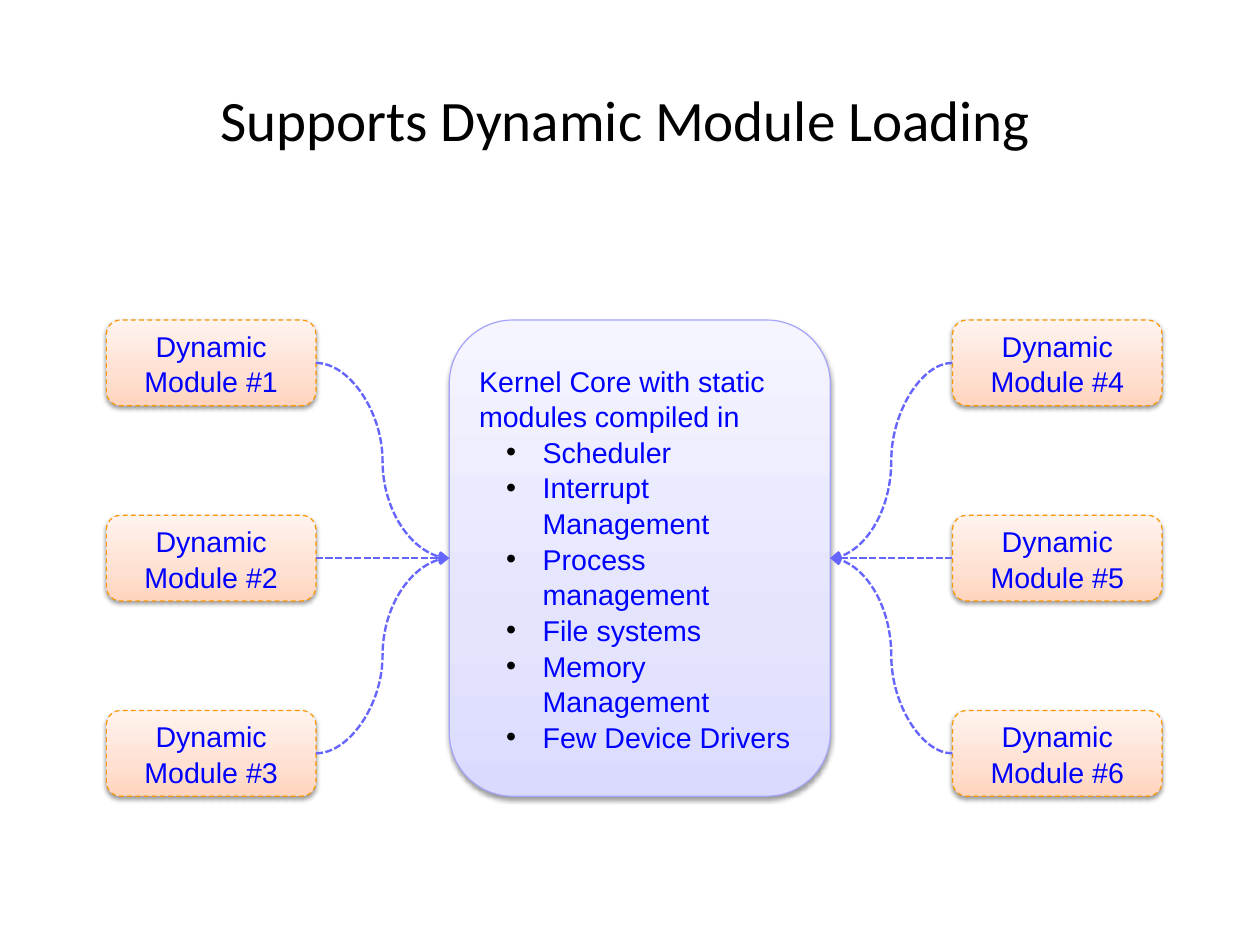
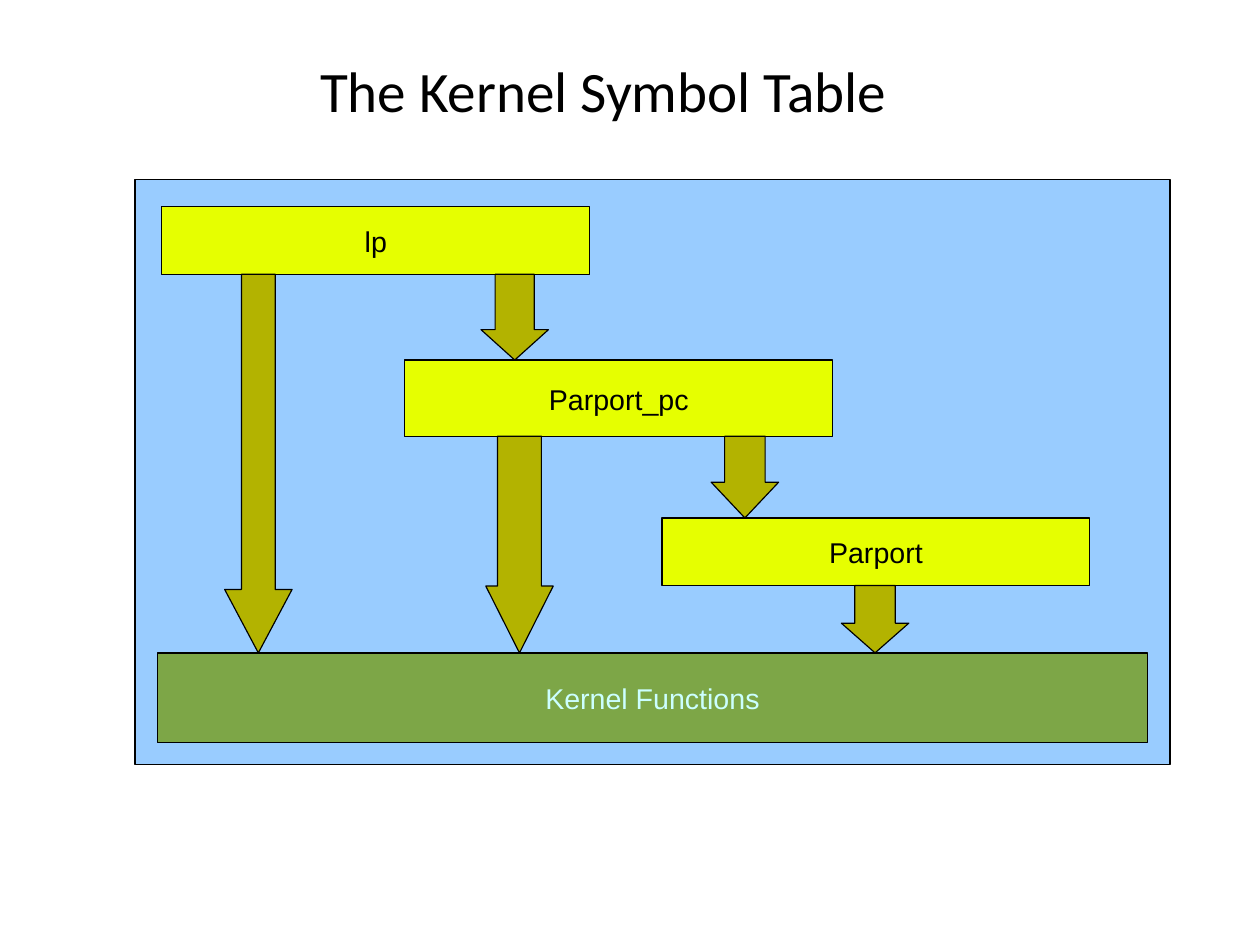
from lxml import etree
from pptx import Presentation
from pptx.dml.color import RGBColor
from pptx.enum.dml import MSO_LINE
from pptx.enum.shapes import MSO_CONNECTOR as LINK, MSO_SHAPE as SHAPE
from pptx.enum.text import MSO_ANCHOR as ANCHOR, PP_ALIGN as ALIGN
from pptx.oxml import parse_xml
from pptx.oxml.ns import nsdecls, qn
from pptx.util import Pt

# Shared style
TITLE_FONT, BODY_FONT = "Calibri", "Arial"
TITLE_SIZE, BODY_SIZE = 36, 18
BLACK = RGBColor(0x00, 0x00, 0x00)
BLUE = RGBColor(0x00, 0x00, 0xFF)
LILAC_LINE = RGBColor(0xA4, 0xA4, 0xFB)
ORANGE_LINE = RGBColor(0xF9, 0x96, 0x00)
LINK_BLUE = RGBColor(0x66, 0x66, 0xFF)
SKY = RGBColor(0x99, 0xCC, 0xFF)
GREEN = RGBColor(0x7D, 0xA6, 0x47)
PALE_CYAN = RGBColor(0xCC, 0xFF, 0xFF)
YELLOW = RGBColor(0xE6, 0xFF, 0x00)
OLIVE = RGBColor(0xB3, 0xB3, 0x00)

# Gradient colours from bottom to top
LILAC_FADE = [RGBColor(0xDA, 0xDA, 0xFF), RGBColor(0xE4, 0xE4, 0xFF), RGBColor(0xF5, 0xF5, 0xFF)]
PEACH_FADE = [RGBColor(0xFF, 0xD4, 0xBD), RGBColor(0xFF, 0xE0, 0xD1), RGBColor(0xFF, 0xF3, 0xEE)]
FADE_STOPS = [0, 35, 100]


def add_titled_page(deck, text, left, top, width, height):
    page = deck.slides.add_slide(deck.slide_layouts[5])
    title = page.shapes.title
    title.left, title.top, title.width, title.height = map(Pt, (left, top, width, height))
    frame = title.text_frame
    frame.margin_left = frame.margin_right = frame.margin_top = frame.margin_bottom = 0
    frame.vertical_anchor = ANCHOR.MIDDLE
    para = frame.paragraphs[0]
    para.text = text
    style_para(para, BLACK, ALIGN.CENTER, TITLE_FONT, TITLE_SIZE, 1.08)
    return page


def style_para(para, color, align, font=BODY_FONT, size=BODY_SIZE, spacing=1.04):
    para.alignment = align
    para.line_spacing = spacing
    para.font.name = font
    para.font.size = Pt(size)
    para.font.color.rgb = color


def add_block(page, kind, left, top, width, height, fill, line=BLACK):
    """Add a shape; a list of colours as fill gives a shadowed gradient."""
    block = page.shapes.add_shape(kind, Pt(left), Pt(top), Pt(width), Pt(height))
    block.shadow.inherit = False
    if isinstance(fill, list):
        add_fade(block, fill)
    else:
        block.fill.solid()
        block.fill.fore_color.rgb = fill
    block.line.color.rgb = line
    block.line.width = Pt(0.75)
    return block


def add_fade(block, colors):
    stops = "".join(
        f'<a:gs pos="{stop * 1000}"><a:srgbClr val="{color}"/></a:gs>'
        for stop, color in zip(FADE_STOPS, colors))
    props = block.element.spPr
    props.find(qn("a:prstGeom")).addnext(parse_xml(
        f'<a:gradFill {nsdecls("a")} rotWithShape="1"><a:gsLst>{stops}</a:gsLst>'
        '<a:lin ang="16200000" scaled="0"/></a:gradFill>'))
    props.find(qn("a:effectLst")).append(parse_xml(
        f'<a:outerShdw {nsdecls("a")} blurRad="{Pt(3.1)}" dist="{Pt(1.6)}" dir="5400000" '
        'rotWithShape="0"><a:srgbClr val="000000"><a:alpha val="38000"/></a:srgbClr></a:outerShdw>'))


def write_label(block, text, color, wrap=True):
    frame = block.text_frame
    frame.word_wrap = wrap
    frame.vertical_anchor = ANCHOR.MIDDLE
    frame.paragraphs[0].text = text
    style_para(frame.paragraphs[0], color, ALIGN.CENTER)


def add_bullet(para):
    props = para._p.get_or_add_pPr()
    props.set("marL", str(Pt(40)))
    props.set("indent", str(Pt(-23)))
    spacing = props.find(qn("a:lnSpc"))
    for xml in ('<a:buChar {} char="•"/>', '<a:buFont {} typeface="Arial"/>',
                '<a:buClr {}><a:srgbClr val="000000"/></a:buClr>'):
        spacing.addnext(parse_xml(xml.format(nsdecls("a"))))


# Kernel core in the middle, modules on both sides
def add_core(page, left, top, width, height):
    core = add_block(page, SHAPE.ROUNDED_RECTANGLE, left, top, width, height,
                     LILAC_FADE, LILAC_LINE)
    frame = core.text_frame
    frame.word_wrap = True
    frame.vertical_anchor = ANCHOR.MIDDLE
    frame.text = "\n".join([
        "Kernel Core with static modules compiled in", "Scheduler", "Interrupt Management",
        "Process management", "File systems", "Memory Management", "Few Device Drivers"])
    for index, para in enumerate(frame.paragraphs):
        style_para(para, BLUE, ALIGN.LEFT)
        if index:
            para.level = 1
            add_bullet(para)
    return core


def link_to_core(page, module, module_side, core, core_side, kind):
    link = page.shapes.add_connector(kind, 0, 0, 0, 0)
    link.begin_connect(module, module_side)
    link.end_connect(core, core_side)
    link.line.color.rgb = LINK_BLUE
    link.line.width = Pt(1.5)
    link.line.dash_style = MSO_LINE.SQUARE_DOT
    etree.SubElement(link.line._get_or_add_ln(), qn("a:tailEnd"), type="arrow")
    etree.SubElement(link.element.spPr, qn("a:effectLst"))


def build_module_diagram(page, left, top, width, height):
    module_width, module_height, rows = 132, 54, 3
    pitch = (height - module_height) / (rows - 1)
    core = add_core(page, left + 216, top, 240, height)
    columns = [(left, 3, 1), (left + width - module_width, 1, 3)]
    modules = []
    for column, (module_left, module_side, core_side) in enumerate(columns):
        for row in range(rows):
            module = add_block(page, SHAPE.ROUNDED_RECTANGLE, module_left, top + row * pitch,
                               module_width, module_height, PEACH_FADE, ORANGE_LINE)
            module.line.dash_style = MSO_LINE.DASH
            write_label(module, f"Dynamic Module #{column * rows + row + 1}", BLUE)
            kind = LINK.STRAIGHT if row == rows // 2 else LINK.CURVE
            modules.append((module, module_side, core_side, kind))
    for module, module_side, core_side, kind in modules:
        link_to_core(page, module, module_side, core, core_side, kind)


# Stacked kernel modules with arrows down to what they use
def build_symbol_stack(page, left, top, width, height):
    add_block(page, SHAPE.RECTANGLE, left, top, width, height, SKY)
    layers = {  # label: left, top, width, height within the panel, fill, text colour
        "Kernel Functions": (14, 298, 624, 56.5, GREEN, PALE_CYAN),
        "Parport": (332, 213, 269.5, 42.5, YELLOW, BLACK),
        "Parport_pc": (170, 113.5, 269.5, 48, YELLOW, BLACK),
        "lp": (17, 17, 269.5, 42.5, YELLOW, BLACK),
    }
    for label, (x, y, layer_width, layer_height, fill, color) in layers.items():
        layer = add_block(page, SHAPE.RECTANGLE, left + x, top + y,
                          layer_width, layer_height, fill)
        write_label(layer, label, color, wrap=False)

    arrows = [  # user, used layer, left within the panel, shaft and head ratios
        ("Parport", "Kernel Functions", 445, 0.6, 0.44),
        ("Parport_pc", "Parport", 363, 0.6, 0.53),
        ("lp", "Parport_pc", 218, 0.58, 0.45),
        ("Parport_pc", "Kernel Functions", 221, 0.65, 0.99),
        ("lp", "Kernel Functions", 56.5, 0.5, 0.94),
    ]
    for user, used, x, shaft, head in arrows:
        start = layers[user][1] + layers[user][3]
        arrow = add_block(page, SHAPE.DOWN_ARROW, left + x, top + start,
                          42.5, layers[used][1] - start, OLIVE)
        arrow.adjustments[0] = shaft
        arrow.adjustments[1] = head


def main():
    deck = Presentation()
    deck.slide_width, deck.slide_height = Pt(793.7), Pt(595.3)

    page = add_titled_page(deck, "Supports Dynamic Module Loading", 31, 34, 726, 78)
    build_module_diagram(page, 67, 201.6, 665, 300)

    page = add_titled_page(deck, "The Kernel Symbol Table", 53, 28, 654, 53)
    build_symbol_stack(page, 85, 113.3, 652, 368.5)

    deck.save("out.pptx")


if __name__ == "__main__":
    main()
